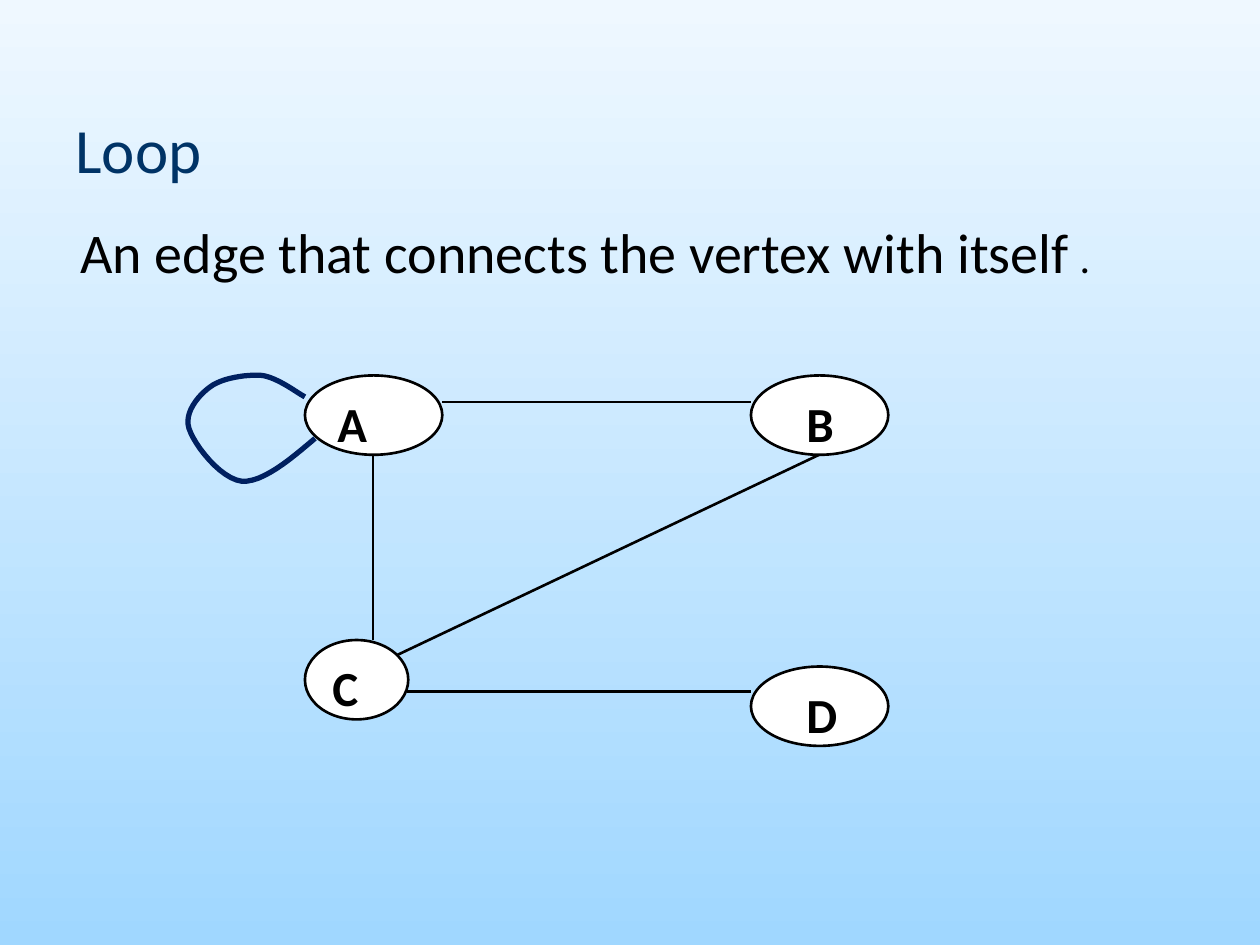
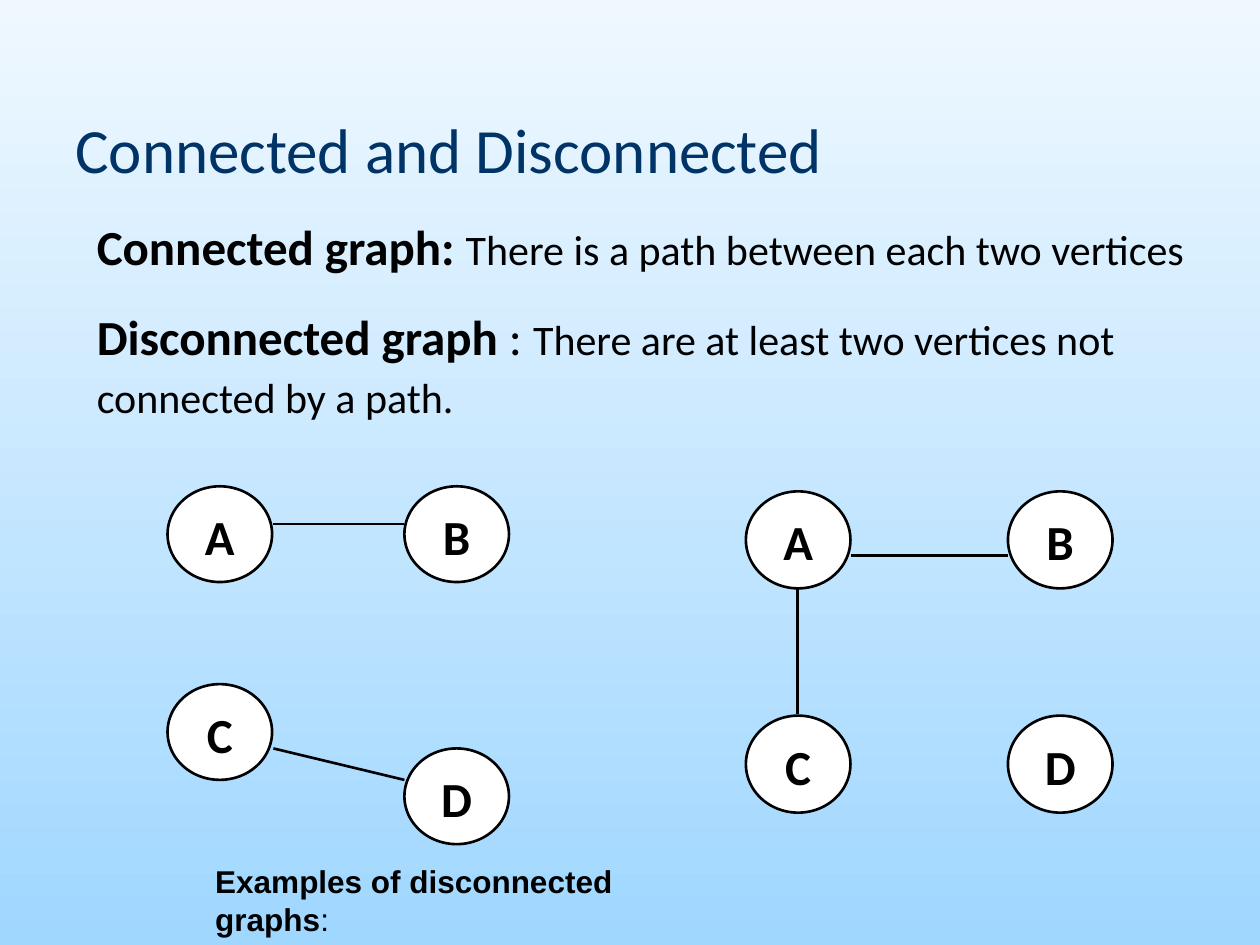
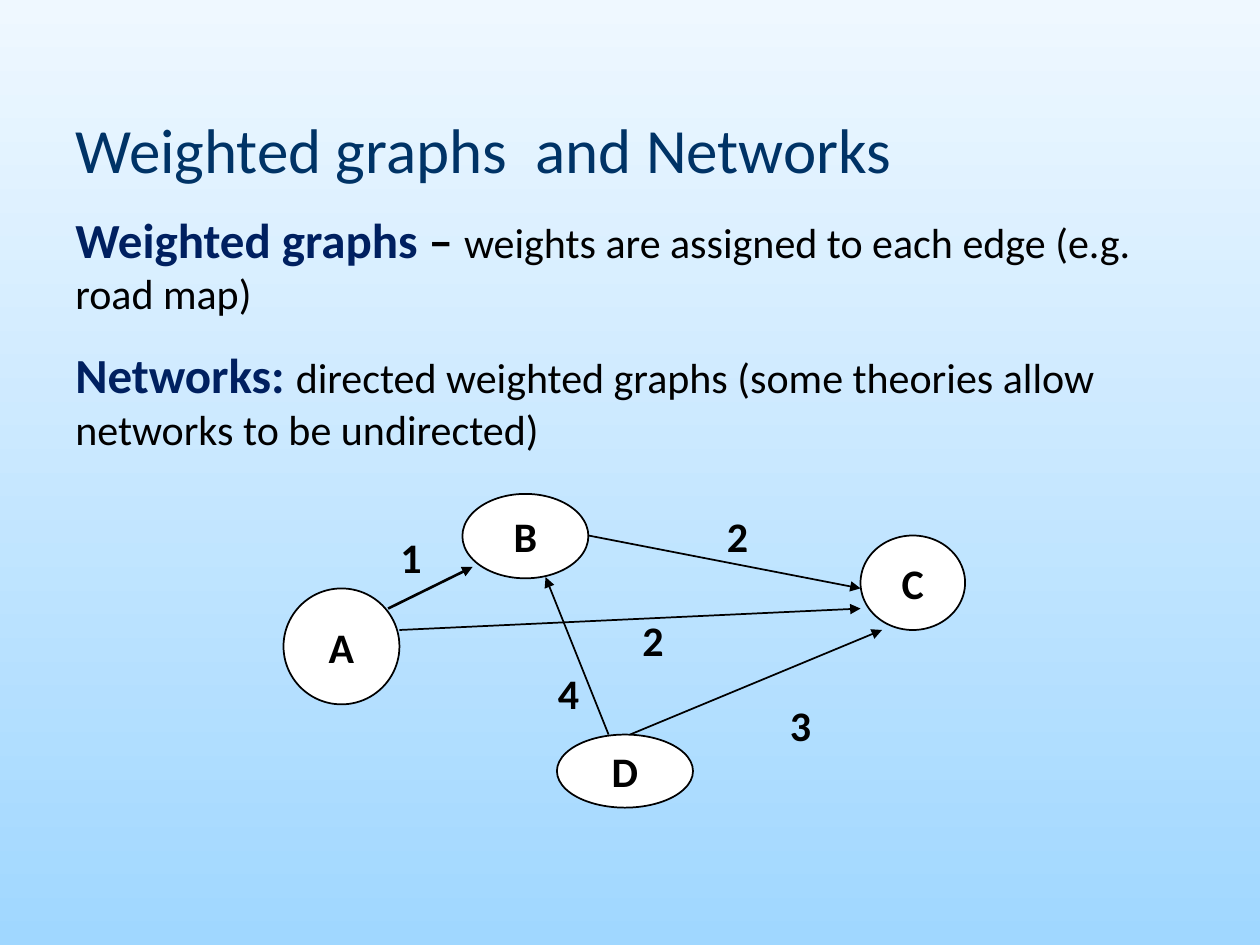
from lxml import etree
from pptx import Presentation
from pptx.dml.color import RGBColor
from pptx.enum.shapes import MSO_CONNECTOR, MSO_SHAPE
from pptx.enum.text import MSO_ANCHOR, PP_ALIGN
from pptx.oxml.ns import qn
from pptx.util import Pt

ELLIPSE = MSO_SHAPE.OVAL
STRAIGHT = MSO_CONNECTOR.STRAIGHT
TOP, MIDDLE = MSO_ANCHOR.TOP, MSO_ANCHOR.MIDDLE
LEFT, CENTER = PP_ALIGN.LEFT, PP_ALIGN.CENTER

PX = 9144  # EMU per px, 100 px to the inch
COLORS = {
    "sky_top": "EFF8FF",
    "sky_bottom": "A0D7FF",
    "title": "003366",
    "navy": "002060",
    "black": "000000",
    "white": "FFFFFF",
}
RGB = {name: RGBColor.from_string(value) for name, value in COLORS.items()}


def write(shape, paragraphs, align=LEFT, anchor=TOP, gap=0, wrap=True, font="Calibri"):
    """Fill a shape with paragraphs, each a list of (text, size, bold, colour) spans."""
    frame = shape.text_frame
    frame.word_wrap = wrap
    frame.vertical_anchor = anchor
    for index, spans in enumerate(paragraphs):
        para = frame.add_paragraph() if index else frame.paragraphs[0]
        para.alignment = align
        if index:
            para.space_before = Pt(gap)
        for text, size, bold, color in spans:
            span = para.add_run()
            span.text = text
            span.font.name = font
            span.font.size = Pt(size)
            span.font.bold = bold
            span.font.color.rgb = RGB[color]


def draw_graph(page, vertices, edges, size, outline, arrows=False, **layout):
    """Draw edges (x1, y1, x2, y2, width), then vertices (name, x, y, w, h, text inset)."""
    for *ends, width in edges:
        edge = page.shapes.add_connector(STRAIGHT, *(value * PX for value in ends))
        edge.line.color.rgb = RGB["black"]
        edge.line.width = Pt(width)
        if arrows:
            etree.SubElement(edge.line._get_or_add_ln(), qn("a:tailEnd"), type="triangle")
        etree.SubElement(edge._element.spPr, qn("a:effectLst"))
    for name, x, y, w, h, inset in vertices:
        vertex = page.shapes.add_shape(ELLIPSE, x * PX, y * PX, w * PX, h * PX)
        vertex.shadow.inherit = False
        vertex.fill.solid()
        vertex.fill.fore_color.rgb = RGB["white"]
        vertex.line.color.rgb = RGB["black"]
        vertex.line.width = Pt(outline)
        vertex.text_frame.margin_left = inset * PX
        write(vertex, [[(name, size, True, "black")]], **layout)


deck = Presentation()
deck.slide_width, deck.slide_height = 1000 * PX, 750 * PX

sky = deck.slide_master.background.fill
sky.gradient()
sky.gradient_angle = 270
for stop, position, name in zip(sky.gradient_stops, (0, 1), ("sky_top", "sky_bottom")):
    stop.position = position
    stop.color.rgb = RGB[name]

# Title, body place, space between paragraphs, body paragraphs
topics = [
    ("Loop", (54, 168, 900, 64), 0, [
        [("An edge that connects the vertex with itself", 32, False, "black"),
         (" .", 24, False, "black")],
    ]),
    ("Connected and Disconnected", (67, 167, 883, 215), 17.5, [
        [("Connected graph: ", 28, True, "black"),
         ("There is a path between each two vertices", 24, False, "black")],
        [("Disconnected graph", 28, True, "black"),
         (" : ", 28, False, "black"),
         ("There are at least two vertices not connected by a path.", 24, False, "black"),
         (" ", 28, False, "black")],
    ]),
    ("Weighted graphs  and Networks", (50, 161, 900, 204), 15, [
        [("Weighted graphs", 28, True, "navy"),
         (" – ", 28, True, "black"),
         ("weights are assigned to each edge (e.g. road map)", 24, False, "black")],
        [("Networks: ", 28, True, "navy"),
         ("directed weighted graphs (some theories allow networks to be undirected)",
          24, False, "black")],
    ]),
]
pages = []
for title, place, gap, paragraphs in topics:
    page = deck.slides.add_slide(deck.slide_layouts[6])
    title_box = page.shapes.add_textbox(50 * PX, 80 * PX, 900 * PX, 75 * PX)
    write(title_box, [[(title, 36, False, "title")]], anchor=MIDDLE)
    body_box = page.shapes.add_textbox(*(value * PX for value in place))
    write(body_box, paragraphs, gap=gap)
    pages.append(page)
loop_page, connected_page, weighted_page = pages

# Loop
draw_graph(
    loop_page,
    [("A", 242, 298, 109, 63, 10), ("B", 596, 298, 109, 63, 28),
     ("C", 242, 508, 82, 63, 10), ("D", 596, 529, 109, 63, 28)],
    [(650, 361, 296, 529, 1.5), (351, 319, 596, 319, 1.5),
     (296, 361, 296, 508, 1.5), (323, 549, 596, 549, 1.5)],
    size=28, outline=1.5,
)
loop_start = (250, 348)
loop_curves = [
    ((229, 366), (208, 383), (192, 382)),
    ((175, 380), (154, 353), (150, 340)),
    ((146, 328), (157, 314), (167, 307)),
    ((176, 300), (196, 297), (208, 298)),
    ((221, 300), (236, 312), (242, 315)),
]
STEPS = 12
curve_start = loop_start
loop_points = []
for curve in loop_curves:
    for step in range(1, STEPS + 1):
        t = step / STEPS
        weights = ((1 - t) ** 3, 3 * t * (1 - t) ** 2, 3 * t ** 2 * (1 - t), t ** 3)
        loop_points.append(tuple(
            round(PX * sum(weight * value for weight, value in zip(weights, axis)))
            for axis in zip(curve_start, *curve)
        ))
    curve_start = curve[-1]
builder = loop_page.shapes.build_freeform(*(value * PX for value in loop_start))
builder.add_line_segments(loop_points, close=False)
loop = builder.convert_to_shape()
loop.shadow.inherit = False
loop.fill.background()
loop.line.color.rgb = RGB["navy"]
loop.line.width = Pt(3)

# Connected and disconnected
draw_graph(
    connected_page,
    [(name, x, y, 83, 76, 10) for name, x, y in
     [("A", 133, 386), ("B", 321, 386), ("C", 133, 543), ("D", 321, 594)]],
    [(217, 416, 321, 416, 1.5), (217, 594, 321, 619, 1.5)],
    size=28, outline=1.5, align=CENTER,
)
draw_graph(
    connected_page,
    [(name, x, y, 83, 77, 10) for name, x, y in
     [("A", 592, 390), ("B", 800, 390), ("C", 592, 568), ("D", 800, 568)]],
    [(633, 467, 633, 567, 1.5), (675, 441, 800, 441, 1.5)],
    size=28, outline=1.5, align=CENTER,
)
caption = connected_page.shapes.add_textbox(161 * PX, 679 * PX, 432 * PX, 40 * PX)
write(caption, [[("Examples of disconnected graphs", 18, True, "black"),
                 (":", 18, False, "black")]], wrap=False, font="Arial")

# Weighted graphs and networks
draw_graph(
    weighted_page,
    [("A", 225, 467, 92, 92, 10), ("B", 367, 392, 100, 67, 10),
     ("D", 442, 583, 108, 58, 10), ("C", 683, 425, 83, 75, 10)],
    [(308, 483, 375, 450, 1.5), (317, 500, 683, 483, 1), (467, 425, 683, 467, 1),
     (483, 583, 433, 458, 1), (500, 583, 700, 500, 1)],
    size=24, outline=1, arrows=True, align=CENTER, anchor=MIDDLE, wrap=False,
)
edge_weights = [("3", 617, 550, 50), ("2", 500, 483, 42), ("4", 433, 525, 42),
                ("1", 308, 417, 33), ("2", 567, 400, 33)]
for weight, x, y, width in edge_weights:
    weight_box = weighted_page.shapes.add_textbox(x * PX, y * PX, width * PX, 50 * PX)
    write(weight_box, [[(weight, 24, True, "black")]])

deck.save("out.pptx")
